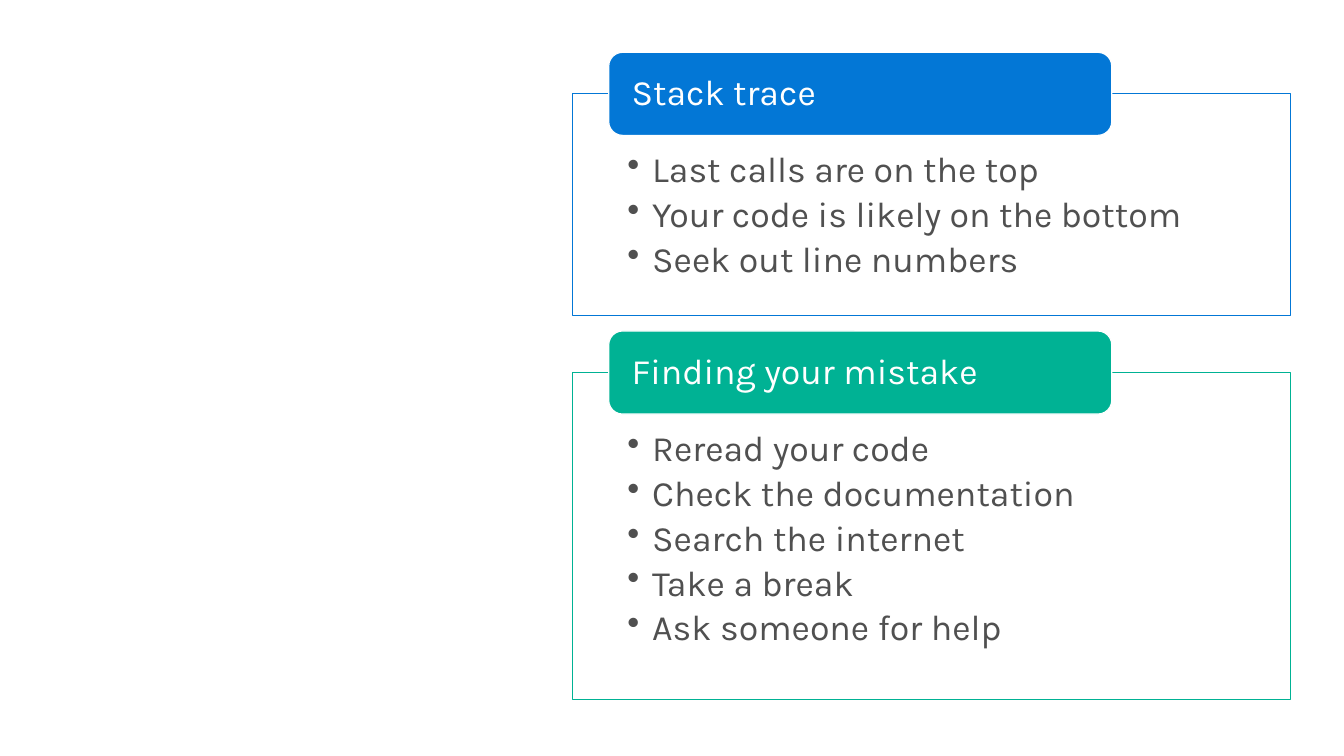
from lxml import etree
from pptx import Presentation
from pptx.dml.color import RGBColor
from pptx.enum.shapes import MSO_SHAPE
from pptx.enum.text import MSO_ANCHOR, PP_ALIGN
from pptx.oxml.ns import qn
from pptx.util import Inches, Pt

RECTANGLE, ROUNDED = MSO_SHAPE.RECTANGLE, MSO_SHAPE.ROUNDED_RECTANGLE
TOP, MIDDLE = MSO_ANCHOR.TOP, MSO_ANCHOR.MIDDLE
LEFT = PP_ALIGN.LEFT
BLANK_LAYOUT = 6

FONT, TEXT_SIZE = "Karla", 26
WHITE, GREY, BLUE, GREEN = "FFFFFF", "505050", "0377D6", "00B294"

PANEL_LEFT, PANEL_WIDTH = 5.79, 7.27
TAB_LEFT, TAB_WIDTH, TAB_HEIGHT = 6.16, 5.09, 0.84
TAB_RISE = TAB_HEIGHT / 2  # each tab straddles the top edge of its panel

# Panel top, panel height, colour, heading, bullet points
SECTIONS = [
    (0.95, 2.24, BLUE, "Stack trace", [
        "Last calls are on the top",
        "Your code is likely on the bottom",
        "Seek out line numbers",
    ]),
    (3.77, 3.31, GREEN, "Finding your mistake", [
        "Reread your code",
        "Check the documentation",
        "Search the internet",
        "Take a break",
        "Ask someone for help",
    ]),
]


def color(hex_value):
    return RGBColor.from_string(hex_value)


def set_values(target, values):
    for name, value in values.items():
        setattr(target, name, value)


def add_box(slide, kind, bounds, fill, line, insets, anchor):
    box = slide.shapes.add_shape(kind, *map(Inches, bounds))
    box.shadow.inherit = False
    box.fill.solid()
    box.fill.fore_color.rgb = color(fill)
    box.line.color.rgb = color(line)
    box.line.width = Pt(0.85)
    left, top, right, bottom = map(Inches, insets)
    set_values(box.text_frame, {
        "margin_left": left, "margin_top": top,
        "margin_right": right, "margin_bottom": bottom,
        "vertical_anchor": anchor, "word_wrap": True,
    })
    return box


def set_opacity(box, percent):
    fill_color = box.fill._xPr.find(qn("a:solidFill"))[0]
    etree.SubElement(fill_color, qn("a:alpha"), val=str(percent * 1000))


def add_bullet(para):
    properties = para._p.get_or_add_pPr()
    properties.set("marL", str(Inches(0.25)))
    properties.set("indent", str(Inches(-0.25)))
    etree.SubElement(properties, qn("a:buChar"), char="•")


def write_lines(box, lines, text_color, space_after=0, bulleted=False):
    frame = box.text_frame
    for index, line in enumerate(lines):
        para = frame.add_paragraph() if index else frame.paragraphs[0]
        set_values(para, {"alignment": LEFT, "line_spacing": 0.9,
                          "space_after": Pt(space_after)})
        if bulleted:
            para.level = 1
            add_bullet(para)
        span = para.add_run()
        span.text = line
        set_values(span.font, {"name": FONT, "size": Pt(TEXT_SIZE)})
        span.font.color.rgb = color(text_color)


def add_section(slide, top, height, accent, heading, points):
    # Outlined panel with bullet points
    panel = add_box(slide, RECTANGLE, (PANEL_LEFT, top, PANEL_WIDTH, height),
                    WHITE, accent, (0.56, 0.59, 0.56, 0.2), TOP)
    set_opacity(panel, 90)
    write_lines(panel, points, GREY, space_after=4.6, bulleted=True)

    # Heading tab
    tab = add_box(slide, ROUNDED,
                  (TAB_LEFT, top - TAB_RISE, TAB_WIDTH, TAB_HEIGHT),
                  accent, WHITE, (0.19, 0, 0.19, 0), MIDDLE)
    write_lines(tab, [heading], WHITE)


def main():
    deck = Presentation()
    set_values(deck, {"slide_width": Inches(13.6),
                      "slide_height": Inches(7.65)})
    page = deck.slides.add_slide(deck.slide_layouts[BLANK_LAYOUT])
    for section in SECTIONS:
        add_section(page, *section)
    deck.save("out.pptx")


if __name__ == "__main__":
    main()
